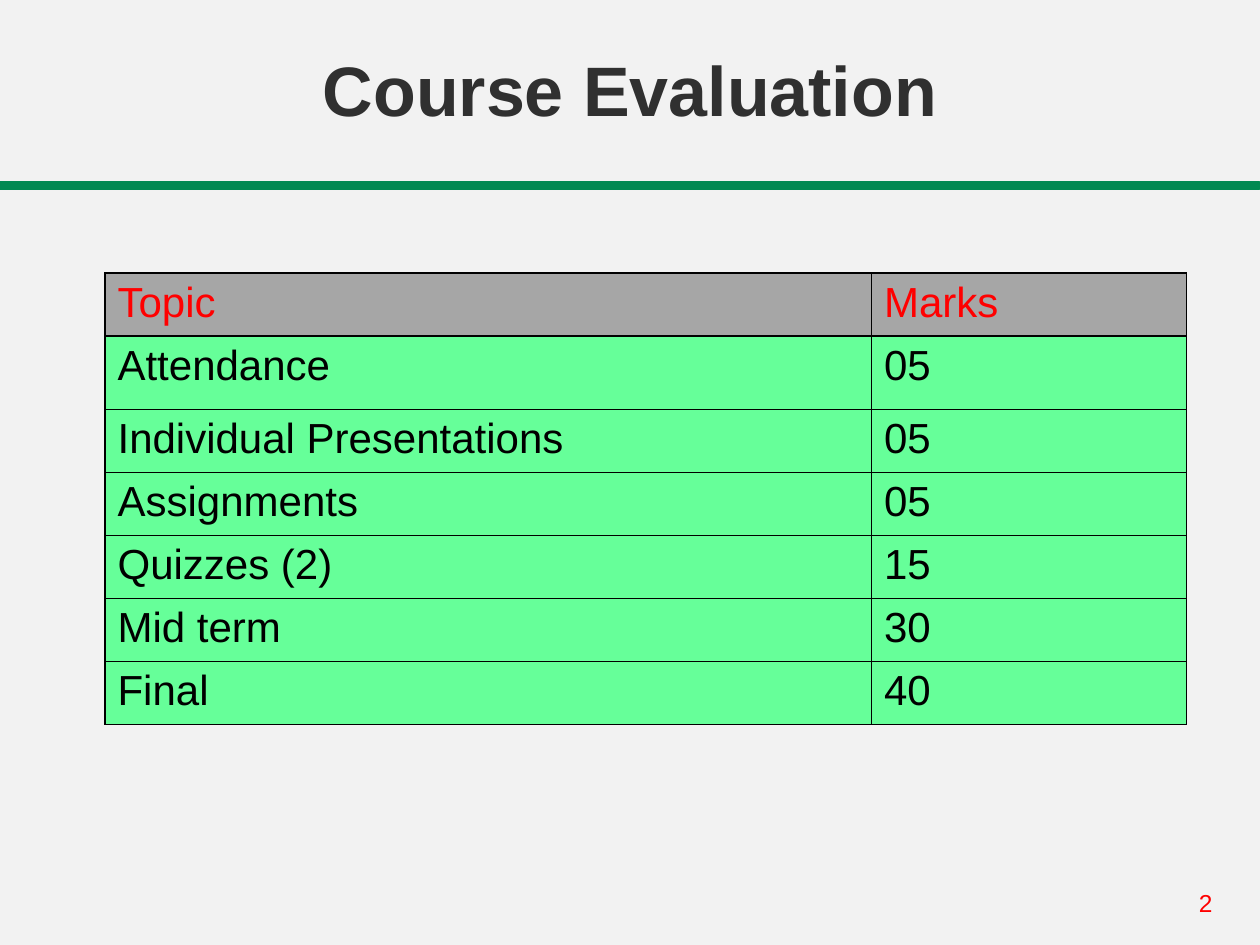
from dataclasses import dataclass

import lxml.etree
import pptx
import pptx.dml.color
import pptx.enum.shapes
import pptx.enum.text
import pptx.oxml.ns
import pptx.util

GRID_COLUMNS, GRID_ROWS = 120, 90
UNIT = pptx.util.Inches(10) // GRID_COLUMNS
FONT = "Arial"
GREEN, RED, BLACK = "018952", "FF0000", "000000"
MARKS_COLUMNS = (73, 30)


@dataclass(frozen=True)
class Area:
    column: float
    row: float
    columns: float
    rows: float

    def place(self) -> tuple[int, ...]:
        return tuple(round(n * UNIT) for n in (self.column, self.row, self.columns, self.rows))


@dataclass(frozen=True)
class Style:
    size: float
    color: str
    bold: bool = False


@dataclass(frozen=True)
class Label:
    text: str
    area: Area
    style: Style
    align: pptx.enum.text.PP_ALIGN
    anchor: pptx.enum.text.MSO_ANCHOR


@dataclass(frozen=True)
class MarksRow:
    topic: str
    marks: str
    rows: float = 6
    fill: str = "66FF99"
    color: str = BLACK


LABELS = (
    Label("2", Area(113, 84, 7, 4), Style(14, RED),
          pptx.enum.text.PP_ALIGN.LEFT, pptx.enum.text.MSO_ANCHOR.TOP),
    Label("Course Evaluation", Area(0, 0, 120, 13), Style(40, "303030", True),
          pptx.enum.text.PP_ALIGN.CENTER, pptx.enum.text.MSO_ANCHOR.BOTTOM),
)

MARKS = (
    MarksRow("Topic", "Marks", fill="A6A6A6", color=RED),
    MarksRow("Attendance", "05", rows=7),
    MarksRow("Individual Presentations", "05"),
    MarksRow("Assignments", "05"),
    MarksRow("Quizzes (2)", "15"),
    MarksRow("Mid term", "30"),
    MarksRow("Final", "40"),
)


def rgb(color: str) -> pptx.dml.color.RGBColor:
    return pptx.dml.color.RGBColor.from_string(color)


def write(frame, text: str, style: Style) -> None:
    frame.text = text
    for para in frame.paragraphs:
        for span in para.runs:
            span.font.name = FONT
            span.font.size = pptx.util.Pt(style.size)
            span.font.bold = style.bold
            span.font.color.rgb = rgb(style.color)


def draw_rule(page, area: Area) -> None:
    rule = page.shapes.add_shape(pptx.enum.shapes.MSO_SHAPE.RECTANGLE, *area.place())
    rule.shadow.inherit = False
    rule.fill.solid()
    rule.fill.fore_color.rgb = rgb(GREEN)
    rule.line.color.rgb = rgb(GREEN)
    rule.line.width = pptx.util.Pt(1.75)


def draw_label(page, label: Label) -> None:
    box = page.shapes.add_textbox(*label.area.place())
    frame = box.text_frame
    frame.word_wrap = True
    frame.vertical_anchor = label.anchor
    write(frame, label.text, label.style)
    frame.paragraphs[0].alignment = label.align


def add_borders(cell) -> None:
    properties = cell._tc.get_or_add_tcPr()
    for position, side in enumerate(("lnL", "lnR", "lnT", "lnB")):
        line = lxml.etree.Element(pptx.oxml.ns.qn(f"a:{side}"), w=str(pptx.util.Pt(1)))
        fill = lxml.etree.SubElement(line, pptx.oxml.ns.qn("a:solidFill"))
        lxml.etree.SubElement(fill, pptx.oxml.ns.qn("a:srgbClr"), val=BLACK)
        properties.insert(position, line)


def draw_marks(page, column: float, row: float) -> None:
    area = Area(column, row, sum(MARKS_COLUMNS), sum(entry.rows for entry in MARKS))
    table = page.shapes.add_table(len(MARKS), len(MARKS_COLUMNS), *area.place()).table
    table.first_row = False
    table.horz_banding = False
    for table_column, width in zip(table.columns, MARKS_COLUMNS):
        table_column.width = width * UNIT
    for table_row, entry in zip(table.rows, MARKS):
        table_row.height = entry.rows * UNIT
        for cell, text in zip(table_row.cells, (entry.topic, entry.marks)):
            write(cell.text_frame, text, Style(24, entry.color))
            cell.fill.solid()
            cell.fill.fore_color.rgb = rgb(entry.fill)
            add_borders(cell)


def main() -> None:
    deck = pptx.Presentation()
    deck.slide_width = GRID_COLUMNS * UNIT
    deck.slide_height = GRID_ROWS * UNIT
    page = deck.slides.add_slide(deck.slide_layouts[6])
    page.background.fill.solid()
    page.background.fill.fore_color.rgb = rgb("F2F2F2")
    draw_rule(page, Area(0, 17.4, GRID_COLUMNS, 0.6))
    for label in LABELS:
        draw_label(page, label)
    draw_marks(page, 10, 26)
    deck.save("out.pptx")


if __name__ == "__main__":
    main()
